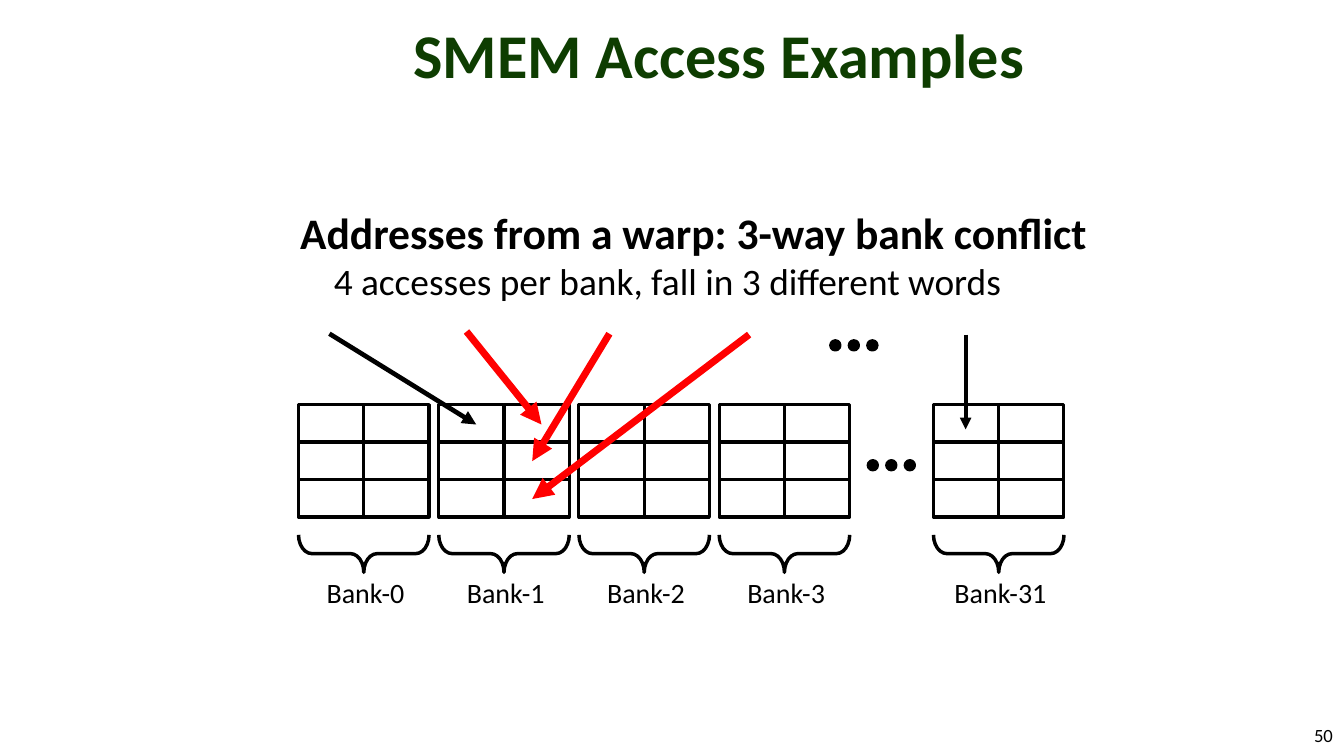
from dataclasses import dataclass
from itertools import product

from lxml import etree
from pptx import Presentation
from pptx.dml.color import RGBColor
from pptx.enum.shapes import MSO_CONNECTOR, MSO_SHAPE
from pptx.enum.text import MSO_ANCHOR, MSO_AUTO_SIZE, PP_ALIGN
from pptx.oxml.ns import qn
from pptx.util import Cm, Pt

RECTANGLE = MSO_SHAPE.RECTANGLE
BRACE = MSO_SHAPE.RIGHT_BRACE
ELLIPSE = MSO_SHAPE.OVAL
STRAIGHT = MSO_CONNECTOR.STRAIGHT
LEFT, CENTER, RIGHT = PP_ALIGN.LEFT, PP_ALIGN.CENTER, PP_ALIGN.RIGHT
TOP, MIDDLE = MSO_ANCHOR.TOP, MSO_ANCHOR.MIDDLE
NO_FIT = MSO_AUTO_SIZE.NONE

FONT = "Calibri"
BLACK, WHITE, RED, GREEN = "000000", "FFFFFF", "FF0000", "0E3D01"

# Memory bank geometry, in centimetres
ROWS, COLUMNS = 3, 2
CELL_WIDTH, CELL_HEIGHT = 1.48, 0.85
BANK_WIDTH = COLUMNS * CELL_WIDTH
BANK_TOP = 9.18
BRACE_DEPTH, BRACE_MIDDLE = 0.85, 12.56
LABEL_TOP, LABEL_WIDTH, LABEL_HEIGHT = 12.93, 2.64, 1.02
FIRST_BANK, BANK_PITCH = 6.77, 3.18
DOT_SIZE, DOT_PITCH = 0.21, 0.42


@dataclass
class Bank:
    number: int
    left: float


@dataclass
class Arrow:
    start: tuple[float, float]
    end: tuple[float, float]
    color: str
    width: float


@dataclass
class Line:
    text: str
    size: float
    bold: bool = False
    color: str = BLACK
    indent: float = 0


BANKS = [Bank(n, FIRST_BANK + n * BANK_PITCH) for n in range(4)] + [Bank(31, 21.17)]
ARROWS = [
    Arrow((10.58, 7.52), (12.28, 9.63), RED, 4.5),
    Arrow((13.82, 7.57), (12.07, 10.46), RED, 4.5),
    Arrow((21.9, 7.59), (21.9, 9.74), BLACK, 2.5),
    Arrow((7.47, 7.57), (10.8, 9.63), BLACK, 3),
    Arrow((16.99, 7.59), (12.07, 11.32), RED, 4.5),
]
DOT_ROWS = [(18.84, 7.73), (19.69, 10.45)]


def rgb(color: str) -> RGBColor:
    return RGBColor.from_string(color)


def write(frame, lines: list[Line], align, anchor=TOP, wrap: bool = False) -> None:
    frame.word_wrap = wrap
    frame.auto_size = NO_FIT
    frame.vertical_anchor = anchor
    for index, line in enumerate(lines):
        para = frame.add_paragraph() if index else frame.paragraphs[0]
        para.alignment = align
        if line.indent:
            para._p.get_or_add_pPr().set("marL", str(Cm(line.indent)))
        span = para.add_run()
        span.text = line.text
        span.font.name = FONT
        span.font.size = Pt(line.size)
        span.font.bold = line.bold
        span.font.color.rgb = rgb(line.color)


def add_text(shapes, left, top, width, height, lines, align, anchor=TOP) -> None:
    box = shapes.add_textbox(Cm(left), Cm(top), Cm(width), Cm(height))
    write(box.text_frame, lines, align, anchor)


def add_outline(shapes, kind, left, top, width, height, fill=None, weight=2.0):
    shape = shapes.add_shape(kind, Cm(left), Cm(top), Cm(width), Cm(height))
    shape.shadow.inherit = False
    if fill:
        shape.fill.solid()
        shape.fill.fore_color.rgb = rgb(fill)
    else:
        shape.fill.background()
    shape.line.color.rgb = rgb(BLACK)
    shape.line.width = Pt(weight)
    return shape


def add_bank(page, bank: Bank) -> None:
    shapes = page.shapes.add_group_shape().shapes
    for row, column in product(range(ROWS), range(COLUMNS)):
        add_outline(shapes, RECTANGLE, bank.left + column * CELL_WIDTH,
                    BANK_TOP + row * CELL_HEIGHT, CELL_WIDTH, CELL_HEIGHT, WHITE)
    # The brace is placed upright, then turned about its centre
    center = bank.left + BANK_WIDTH / 2
    brace = add_outline(shapes, BRACE, center - BRACE_DEPTH / 2,
                        BRACE_MIDDLE - BANK_WIDTH / 2, BRACE_DEPTH, BANK_WIDTH, weight=2.25)
    brace.adjustments[0] = 0.356
    brace.rotation = 90
    add_text(shapes, center + 0.04 - LABEL_WIDTH / 2, LABEL_TOP, LABEL_WIDTH,
             LABEL_HEIGHT, [Line(f"Bank-{bank.number}", 18)], CENTER)


def add_arrow(page, arrow: Arrow) -> None:
    points = [Cm(value) for value in (*arrow.start, *arrow.end)]
    connector = page.shapes.add_connector(STRAIGHT, *points)
    connector.line.color.rgb = rgb(arrow.color)
    connector.line.width = Pt(arrow.width)
    properties = connector.element.spPr
    etree.SubElement(properties.find(qn("a:ln")), qn("a:tailEnd"), type="triangle")
    etree.SubElement(properties, qn("a:effectLst"))


def add_dots(page, left: float, top: float) -> None:
    shapes = page.shapes.add_group_shape().shapes
    for index in range(3):
        add_outline(shapes, ELLIPSE, left + index * DOT_PITCH, top,
                    DOT_SIZE, DOT_SIZE, BLACK)


def main() -> None:
    deck = Presentation()
    deck.slide_width, deck.slide_height = Cm(30.48), Cm(17.15)
    page = deck.slides.add_slide(deck.slide_layouts.get_by_name("Title Only"))

    # Title and page number
    title = page.shapes.title
    title.left, title.top, title.width, title.height = Cm(2.97), Cm(0), Cm(26.67), Cm(2.44)
    write(title.text_frame, [Line("SMEM Access Examples", 40, True, GREEN)],
          CENTER, MIDDLE, wrap=True)
    add_text(page.shapes, 29.26, 16.21, 1.22, 0.92, [Line("50", 12)], RIGHT, MIDDLE)

    # Memory banks, with the accesses drawn over them
    for bank in BANKS:
        add_bank(page, bank)
    for arrow in ARROWS:
        add_arrow(page, arrow)
    for left, top in DOT_ROWS:
        add_dots(page, left, top)

    # Heading of the example
    add_text(page.shapes, 6.56, 4.55, 18.57, 2.49, [
        Line("Addresses from a warp: 3-way bank conflict", 28, True),
        Line("4 accesses per bank, fall in 3 different words", 24, indent=0.76),
    ], LEFT)

    deck.save("out.pptx")


if __name__ == "__main__":
    main()
